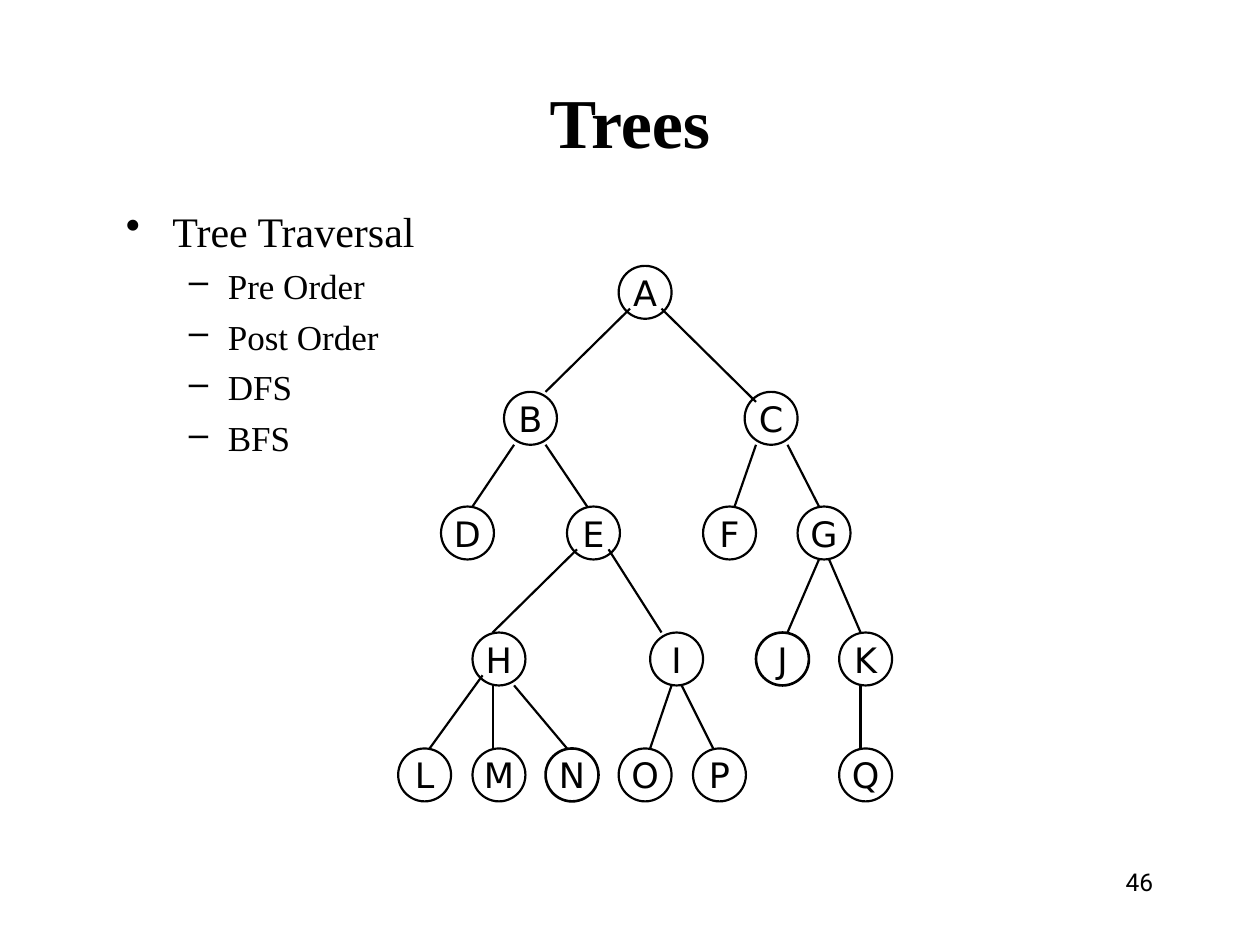
from typing import NamedTuple

from lxml import etree
from pptx import Presentation
from pptx.dml.color import RGBColor
from pptx.enum.shapes import MSO_CONNECTOR, MSO_SHAPE
from pptx.enum.text import MSO_ANCHOR, PP_ALIGN
from pptx.oxml.ns import qn
from pptx.util import Inches, Pt

ELLIPSE = MSO_SHAPE.OVAL
STRAIGHT = MSO_CONNECTOR.STRAIGHT
CENTER, LEFT, RIGHT = PP_ALIGN.CENTER, PP_ALIGN.LEFT, PP_ALIGN.RIGHT
TOP, MIDDLE = MSO_ANCHOR.TOP, MSO_ANCHOR.MIDDLE

BLACK = "000000"
SERIF = "Times New Roman"
NODE_SIZE = 0.42
LINE_WIDTH = 1.25
ROW_TOPS = (2.11, 3.11, 4.02, 5.02, 5.94)


class Node(NamedTuple):
    row: int
    left: float
    line_width: float = LINE_WIDTH


class Edge(NamedTuple):
    parent: str
    child: str
    start_x: float
    end_x: float
    start_inset: float = 0
    end_inset: float = 0


class Bullet(NamedTuple):
    text: str
    mark: str
    size: int
    margin: float
    hanging: float
    space_before: int


NODES = {
    "A": Node(0, 4.91),
    "B": Node(1, 4),
    "C": Node(1, 5.91),
    "D": Node(2, 3.5),
    "E": Node(2, 4.5),
    "F": Node(2, 5.58),
    "G": Node(2, 6.33),
    "H": Node(3, 3.75),
    "I": Node(3, 5.16),
    "J": Node(3, 6, 1.5),
    "K": Node(3, 6.66),
    "L": Node(4, 3.16),
    "M": Node(4, 3.75),
    "N": Node(4, 4.33, 1.5),
    "O": Node(4, 4.91),
    "P": Node(4, 5.5),
    "Q": Node(4, 6.66),
}

EDGES = (
    Edge("A", "B", 5, 4.33, 0.08),
    Edge("A", "C", 5.25, 6, 0.08, 0.08),
    Edge("B", "D", 4.08, 3.75),
    Edge("B", "E", 4.33, 4.66),
    Edge("C", "F", 6, 5.83),
    Edge("C", "G", 6.25, 6.5),
    Edge("E", "H", 4.58, 3.91, 0.08),
    Edge("E", "I", 4.83, 5.25, 0.08),
    Edge("G", "J", 6.5, 6.25),
    Edge("G", "K", 6.58, 6.83),
    Edge("H", "L", 3.83, 3.41, 0.08),
    Edge("H", "M", 3.91, 3.91),
    Edge("H", "N", 4.08, 4.5),
    Edge("I", "O", 5.33, 5.16),
    Edge("I", "P", 5.41, 5.66),
    Edge("K", "Q", 6.83, 6.83),
)

BULLETS = (
    Bullet("Tree Traversal", "•", 24, 0.44, 0.37, 6),
    *(
        Bullet(text, "–", 20, 0.88, 0.31, 5)
        for text in ("Pre Order", "Post Order", "DFS", "BFS")
    ),
)


def color(value: str) -> RGBColor:
    return RGBColor.from_string(value)


def style(paragraph, font_name: str, size: int, align=LEFT, bold: bool = False) -> None:
    paragraph.alignment = align
    font = paragraph.font
    font.name = font_name
    font.size = Pt(size)
    font.bold = bold
    font.color.rgb = color(BLACK)


def add_text_box(page, left: float, top: float, width: float, height: float, anchor=TOP):
    box = page.shapes.add_textbox(Inches(left), Inches(top), Inches(width), Inches(height))
    box.text_frame.word_wrap = True
    box.text_frame.vertical_anchor = anchor
    return box.text_frame


def add_bullets(page) -> None:
    frame = add_text_box(page, 0.83, 1.58, 8.5, 5.42)
    for index, bullet in enumerate(BULLETS):
        para = frame.add_paragraph() if index else frame.paragraphs[0]
        para.text = bullet.text
        para.level = 1 if index else 0
        para.space_before = Pt(bullet.space_before)
        style(para, SERIF, bullet.size)
        properties = para._p.get_or_add_pPr()
        properties.set("marL", str(Inches(bullet.margin)))
        properties.set("indent", str(-Inches(bullet.hanging)))
        mark = etree.Element(qn("a:buChar"), char=bullet.mark)
        properties.find(qn("a:defRPr")).addprevious(mark)


def add_node(tree, label: str, node: Node) -> None:
    shape = tree.shapes.add_shape(
        ELLIPSE,
        Inches(node.left),
        Inches(ROW_TOPS[node.row]),
        Inches(NODE_SIZE),
        Inches(NODE_SIZE),
    )
    shape.shadow.inherit = False
    shape.fill.background()
    shape.line.color.rgb = color(BLACK)
    shape.line.width = Pt(node.line_width)
    frame = shape.text_frame
    frame.word_wrap = False
    frame.vertical_anchor = MIDDLE
    frame.text = label
    style(frame.paragraphs[0], "DejaVu Sans", 20, CENTER)


def add_edge(tree, edge: Edge) -> None:
    start_y = ROW_TOPS[NODES[edge.parent].row] + NODE_SIZE - edge.start_inset
    end_y = ROW_TOPS[NODES[edge.child].row] + edge.end_inset
    line = tree.shapes.add_connector(
        STRAIGHT,
        Inches(edge.start_x),
        Inches(start_y),
        Inches(edge.end_x),
        Inches(end_y),
    )
    line.line.color.rgb = color(BLACK)
    line.line.width = Pt(LINE_WIDTH)
    etree.SubElement(line._element.spPr, qn("a:effectLst"))


def main() -> None:
    deck = Presentation()
    deck.slide_width, deck.slide_height = Inches(10), Inches(7.5)
    page = deck.slides.add_slide(deck.slide_layouts[6])

    number = add_text_box(page, 7.17, 6.83, 2.08, 0.5)
    number.text = "46"
    style(number.paragraphs[0], "Roboto", 14, RIGHT)

    title = add_text_box(page, 0.75, 0.67, 8.5, 0.58, MIDDLE)
    title.text = "Trees"
    style(title.paragraphs[0], SERIF, 40, CENTER, bold=True)

    add_bullets(page)

    tree = page.shapes.add_group_shape()
    for label, node in NODES.items():
        add_node(tree, label, node)
    for edge in EDGES:
        add_edge(tree, edge)

    deck.save("out.pptx")


if __name__ == "__main__":
    main()
